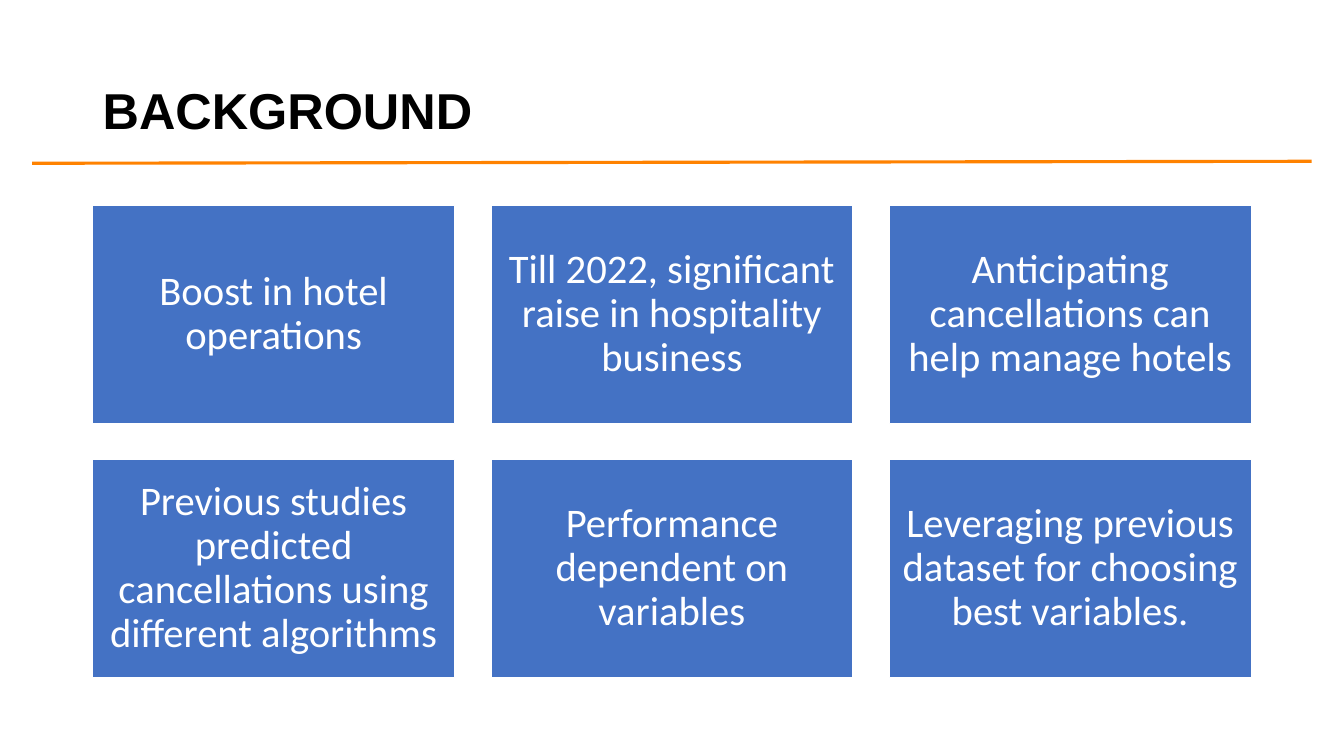
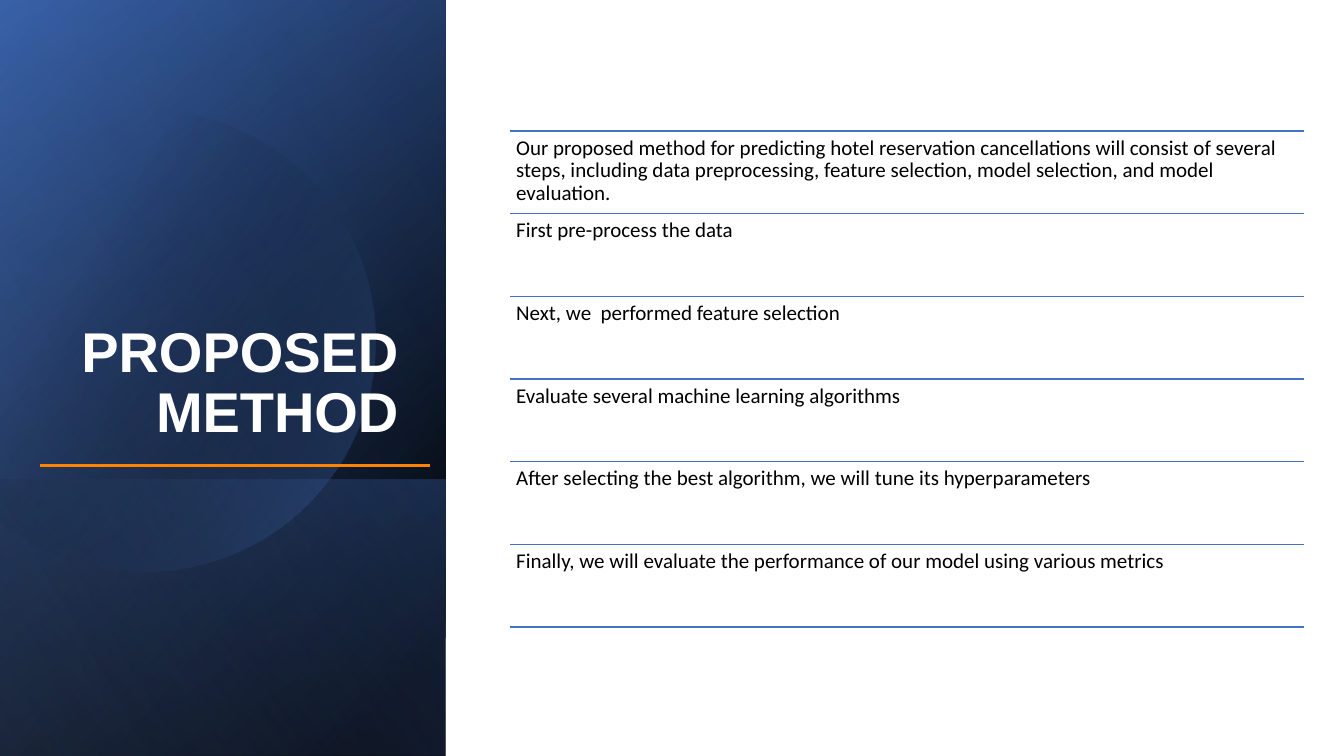
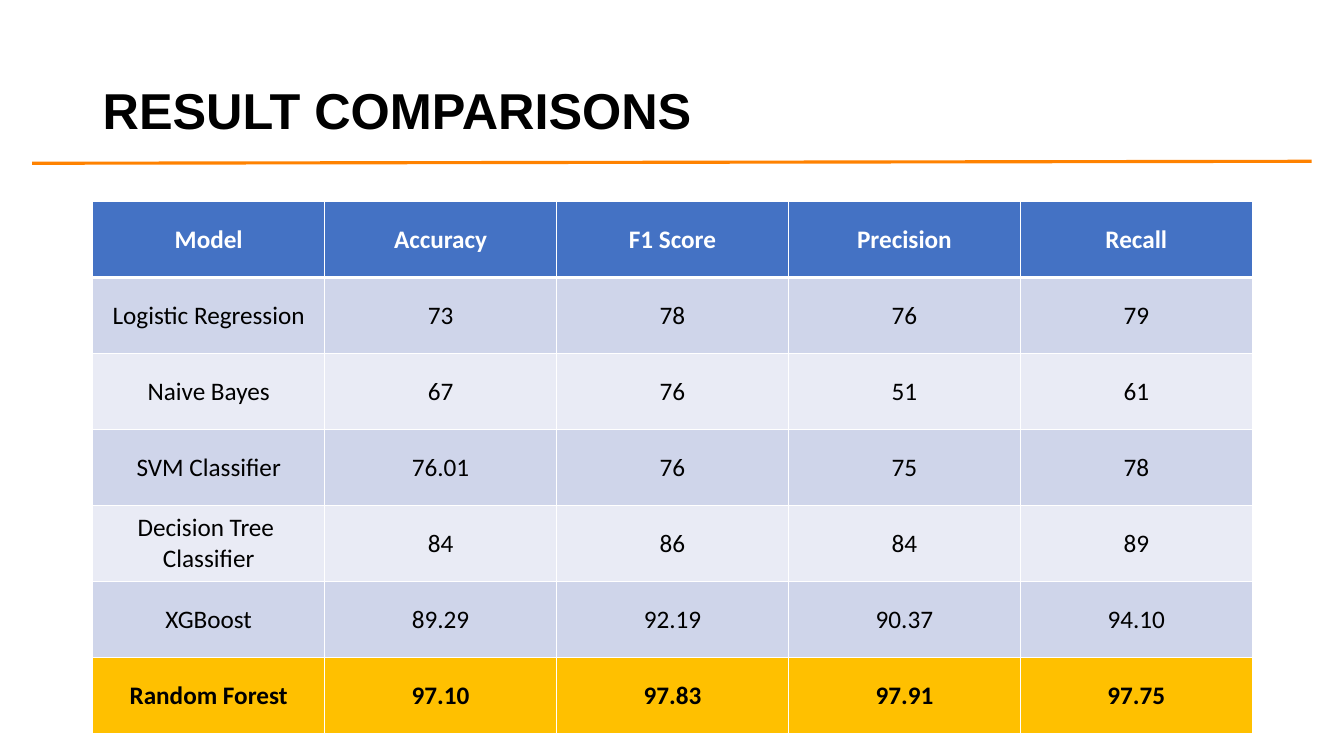
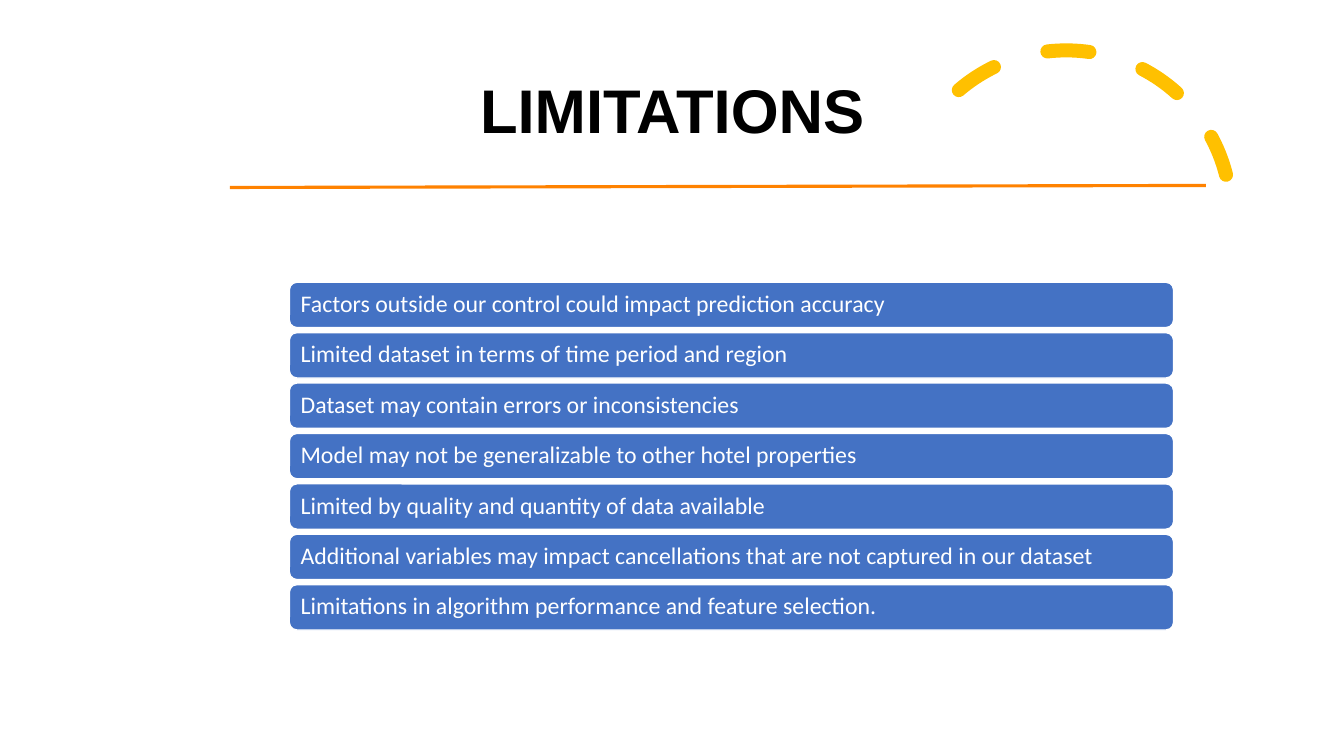
import math
from pptx import Presentation, util as u
from pptx.dml.color import RGBColor
from pptx.enum import dml, shapes, text
from pptx.oxml.ns import qn
from pptx.oxml.xmlchemy import OxmlElement

# Content
BACKGROUND = [
    "Boost in hotel operations",
    "Till 2022, significant raise in hospitality business",
    "Anticipating cancellations can help manage hotels",
    "Previous studies predicted cancellations using different algorithms",
    "Performance dependent on variables",
    "Leveraging previous dataset for choosing best variables.",
]
METHOD = [
    "Our proposed method for predicting hotel reservation cancellations will consist of "
    "several steps, including data preprocessing, feature selection, model selection, "
    "and model evaluation.",
    "First pre-process the data",
    "Next, we  performed feature selection",
    "Evaluate several machine learning algorithms",
    "After selecting the best algorithm, we will tune its hyperparameters",
    "Finally, we will evaluate the performance of our model using various metrics",
]
RESULTS = [
    ("Model", "Accuracy", "F1 Score", "Precision", "Recall"),
    ("Logistic Regression", "73", "78", "76", "79"),
    ("Naive Bayes", "67", "76", "51", "61"),
    ("SVM Classifier", "76.01", "76", "75", "78"),
    ("Decision Tree \nClassifier", "84", "86", "84", "89"),
    ("XGBoost", "89.29", "92.19", "90.37", "94.10"),
    ("Random Forest", "97.10", "97.83", "97.91", "97.75"),
]
LIMITATIONS = [
    "Factors outside our control could impact prediction accuracy",
    "Limited dataset in terms of time period and region",
    "Dataset may contain errors or inconsistencies",
    "Model may not be generalizable to other hotel properties",
    "Limited by quality and quantity of data available",
    "Additional variables may impact cancellations that are not captured in our dataset",
    "Limitations in algorithm performance and feature selection.",
]

# Shared look
WIDTH, HEIGHT = 13.33, 7.5
BLUE, ORANGE, GOLD = "4472C4", "FF8200", "FFC000"
BLACK, WHITE = "000000", "FFFFFF"
BAND_DARK, BAND_LIGHT = "CFD5EA", "E9EBF5"
LEFT, CENTER, RIGHT = (text.PP_ALIGN.LEFT, text.PP_ALIGN.CENTER, text.PP_ALIGN.RIGHT)
TOP, MIDDLE, BOTTOM = (text.MSO_ANCHOR.TOP, text.MSO_ANCHOR.MIDDLE, text.MSO_ANCHOR.BOTTOM)
KIND = shapes.MSO_SHAPE
TITLE_BOX = (0.92, 0.4, 11.5, 1.45)
TITLE_RULE = (0.32, 1.62, 13.01, 1.6)
PANEL = (0, 0, 4.42, HEIGHT)

# Side panel layers: visible area, gradient stops (position, colour, opacity), angle
BASE = (PANEL, [(8, BLACK, 100), (100, "2F5597", 100)], 50)
TINT = (PANEL, [(0, BLACK, 0), (99, BLUE, 46)], 30)
FOOT = ((0, 4.76, 4.42, 2.74), [(2, BLUE, 29), (100, BLACK, 30)], 130)
SHEEN = (PANEL, [(0, BLACK, 0), (99, "8FAADC", 11)], 120)
DISC_STOPS = [(29, BLACK, 0), (100, BLUE, 43)]


def color(value):
    return RGBColor.from_string(value)


def inches(values):
    return [u.Inches(value) for value in values]


def write(frame, words, size, ink=BLACK, font="Calibri", bold=False, align=LEFT,
          anchor=MIDDLE, inset=None, spacing=0.9):
    frame.text = words
    settings = {"word_wrap": True, "vertical_anchor": anchor}
    if inset is not None:
        sides = ("margin_left", "margin_top", "margin_right", "margin_bottom")
        settings.update(dict.fromkeys(sides, u.Inches(inset)))
    for name, value in settings.items():
        setattr(frame, name, value)
    style_paragraphs(frame, size, ink, font, bold, align, spacing)


def style_paragraphs(frame, size, ink, font, bold, align, spacing=1.0):
    for para in frame.paragraphs:
        para.alignment, para.line_spacing = align, spacing
        for span in para.runs:
            for name, value in {"size": u.Pt(size), "name": font, "bold": bold}.items():
                setattr(span.font, name, value)
            span.font.color.rgb = color(ink)


def add_text(page, area, words, size, **style):
    box = page.shapes.add_textbox(*inches(area))
    write(box.text_frame, words, size, **style)


def add_title(page, words, size=36, area=TITLE_BOX, **style):
    add_text(page, area, words, size, font="Arial", bold=True, **style)


def add_rule(page, ends, ink=ORANGE, weight=2.25):
    rule = page.shapes.add_connector(shapes.MSO_CONNECTOR.STRAIGHT, *inches(ends))
    rule.line.color.rgb = color(ink)
    rule.line.width = u.Pt(weight)
    rule._element.spPr.append(OxmlElement("a:effectLst"))


def add_card(page, kind, area, words, size, **style):
    card = page.shapes.add_shape(kind, *inches(area))
    card.shadow.inherit = False
    card.fill.solid()
    card.fill.fore_color.rgb = color(BLUE)
    card.line.color.rgb = color(WHITE)
    card.line.width = u.Pt(1)
    write(card.text_frame, words, size, ink=WHITE, **style)


def shade(shape, stops, angle):
    """Gradient fill with opacity, no outline."""
    shape.shadow.inherit = False
    shape.line.fill.background()
    shape.fill.gradient()
    shape.fill.gradient_angle = 360 - angle
    for stop, (position, tone, _) in zip(shape.fill.gradient_stops, stops):
        stop.position = position / 100
        stop.color.rgb = color(tone)
    gradient = shape._element.spPr.find(qn("a:gradFill"))
    for tone, (_, _, opacity) in zip(gradient.iter(qn("a:srgbClr")), stops):
        alpha = OxmlElement("a:alpha")
        alpha.set("val", str(opacity * 1000))
        tone.append(alpha)


def add_layer(page, area, stops, angle):
    """Rectangle turned a quarter and mirrored, so that it covers the area."""
    left, top, width, height = area
    shift = (height - width) / 2
    layer = page.shapes.add_shape(
        KIND.RECTANGLE, *inches((left - shift, top + shift, height, width)))
    layer.rotation = 90
    layer._element.spPr.get_or_add_xfrm().set("flipH", "1")
    shade(layer, stops, angle)


def add_disc(page, center_x=1.43, center_y=3.38, radius=2.29, cut=-0.15):
    """Circle cut off along a vertical line on its left."""
    limit = math.acos((cut - center_x) / radius)
    steps = 90
    angles = [limit * (2 * step / steps - 1) for step in range(steps + 1)]
    points = [inches((center_x + radius * math.cos(a), center_y + radius * math.sin(a)))
              for a in angles]
    outline = page.shapes.build_freeform(*points[0])
    outline.add_line_segments(points[1:], close=True)
    shade(outline.convert_to_shape(), DISC_STOPS, 30)


def add_border(cell, side, weight):
    line = OxmlElement(f"a:ln{side}")
    line.set("w", str(u.Pt(weight)))
    fill, tone = OxmlElement("a:solidFill"), OxmlElement("a:srgbClr")
    tone.set("val", WHITE)
    fill.append(tone)
    line.append(fill)
    cell._tc.get_or_add_tcPr().append(line)


# Slides
def background(page):
    add_title(page, "BACKGROUND")
    columns, width, height, gap = 3, 3.59, 2.16, 0.36
    for index, words in enumerate(BACKGROUND):
        row, column = divmod(index, columns)
        area = (0.92 + column * (width + gap), 2.04 + row * (height + gap), width, height)
        add_card(page, KIND.RECTANGLE, area, words, 29, align=CENTER, inset=0.12)
    add_rule(page, TITLE_RULE)


def proposed_method(page):
    for layer in (BASE, TINT, FOOT):
        add_layer(page, *layer)
    add_disc(page)
    add_layer(page, *SHEEN)
    add_title(page, "PROPOSED METHOD", 40, (0.64, 1.84, 3.41, 2.62),
              ink=WHITE, align=RIGHT, anchor=BOTTOM)
    left, top, width, pitch = 5.06, 1.3, 7.87, 0.82
    for row in range(len(METHOD) + 1):
        y = top + row * pitch
        add_rule(page, (left, y, left + width, y), BLUE, 1)
    for row, words in enumerate(METHOD):
        add_text(page, (left, top + row * pitch, width, pitch), words, 15,
                 anchor=TOP, inset=0.06)
    add_rule(page, (0.4, 4.62, 4.27, 4.62))


def result_comparisons(page):
    add_title(page, "RESULT COMPARISONS")
    add_rule(page, TITLE_RULE)
    rows, columns = len(RESULTS), len(RESULTS[0])
    table = page.shapes.add_table(rows, columns, *inches((0.92, 2, 11.5, 5.28))).table
    for row, values in enumerate(RESULTS):
        header, best = row == 0, row == rows - 1
        fill = BLUE if header else GOLD if best else BAND_DARK if row % 2 else BAND_LIGHT
        for column, value in enumerate(values):
            cell = table.cell(row, column)
            weights = {"L": 1, "R": 1, "T": 3 if row == 1 else 1, "B": 3 if header else 1}
            for side, weight in weights.items():
                add_border(cell, side, weight)
            cell.fill.solid()
            cell.fill.fore_color.rgb = color(fill)
            cell.vertical_anchor = MIDDLE
            cell.text = value
            style_paragraphs(cell.text_frame, 18, WHITE if header else BLACK,
                             "Calibri", header or best, CENTER)


def limitations(page):
    arc = page.shapes.add_shape(KIND.ARC, *inches((8.94, 0.5, 3.27, 3.27)))
    arc.shadow.inherit = False
    arc.rotation = 345.8
    arc.adjustments[0], arc.adjustments[1] = 146.13, 0
    arc.fill.background()
    arc.line.color.rgb = color(GOLD)
    arc.line.width = u.Pt(10)
    arc.line.dash_style = dml.MSO_LINE.DASH
    arc._element.spPr.find(qn("a:ln")).set("cap", "rnd")
    add_title(page, "LIMITATIONS", 44, align=CENTER)
    for row, words in enumerate(LIMITATIONS):
        add_card(page, KIND.ROUNDED_RECTANGLE, (2.87, 2.8 + row * 0.5, 8.77, 0.45),
                 words, 17, inset=0.09)
    add_rule(page, (2.28, 1.86, 11.96, 1.84))


def main():
    deck = Presentation()
    deck.slide_width, deck.slide_height = inches((WIDTH, HEIGHT))
    for build in (background, proposed_method, result_comparisons, limitations):
        build(deck.slides.add_slide(deck.slide_layouts[6]))
    deck.save("out.pptx")


if __name__ == "__main__":
    main()
